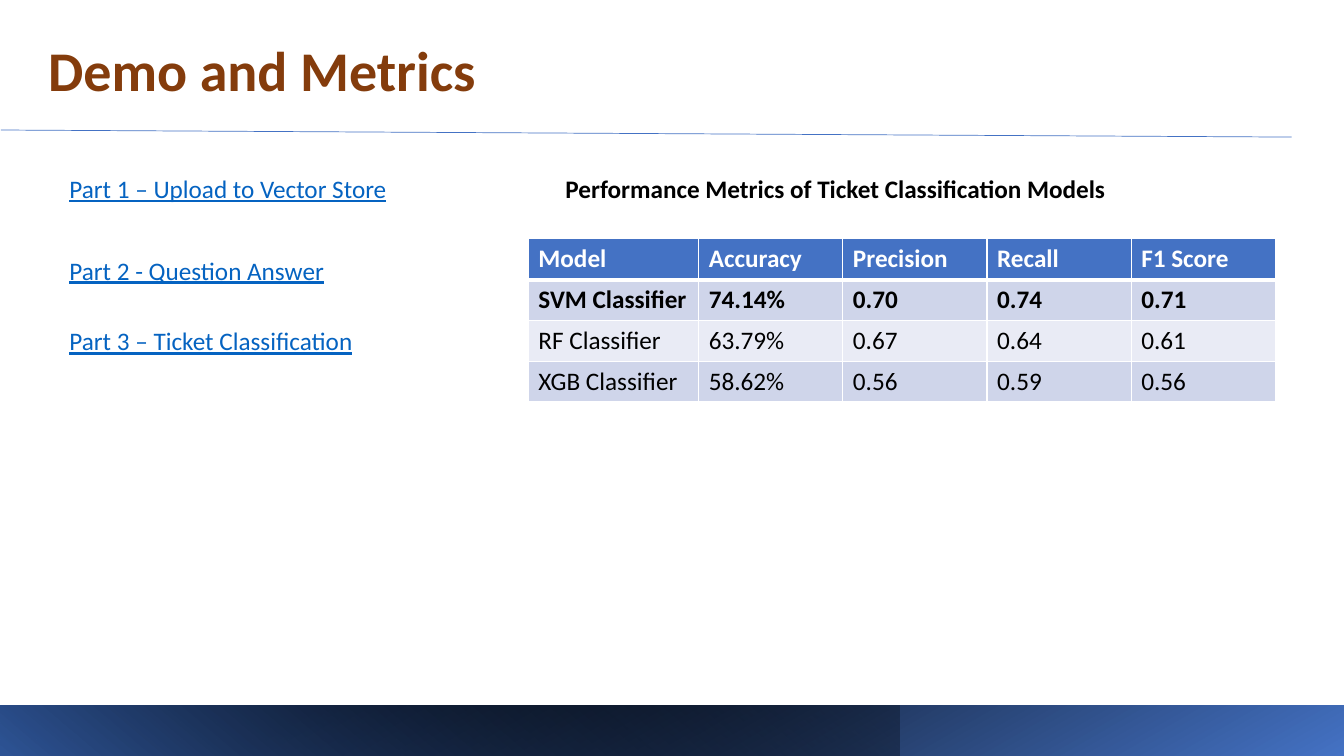
from lxml import etree
from pptx import Presentation
from pptx.dml.color import RGBColor
from pptx.enum.shapes import MSO_CONNECTOR, MSO_SHAPE
from pptx.enum.text import MSO_AUTO_SIZE
from pptx.oxml.ns import qn
from pptx.util import Inches, Pt

RECT = MSO_SHAPE.RECTANGLE
STRAIGHT = MSO_CONNECTOR.STRAIGHT
GROW = MSO_AUTO_SIZE.SHAPE_TO_FIT_TEXT

WIDTH, HEIGHT = 13.33, 7.5
FONT = "Calibri"
COLORS = {
    "title": "843C0C", "link": "0563C1", "accent": "4472C4", "navy": "2F5597",
    "black": "000000", "white": "FFFFFF", "band": "CFD5EA", "light": "E9EBF5",
}
PARTS = [
    (0, "Part 1 – Upload to Vector Store"),
    (0.81, "Part 2 - Question Answer"),
    (1.51, "Part 3 – Ticket Classification"),
]
METRICS = [
    ["Model", "Accuracy", "Precision", "Recall", "F1 Score"],
    ["SVM Classifier", "74.14%", "0.70", "0.74", "0.71"],
    ["RF Classifier", "63.79%", "0.67", "0.64", "0.61"],
    ["XGB Classifier", "58.62%", "0.56", "0.59", "0.56"],
]
ROW_STYLES = [
    ("accent", "white", True), ("band", "black", True),
    ("light", "black", False), ("band", "black", False),
]


def rgb(name):
    """Return the named colour."""
    return RGBColor.from_string(COLORS[name])


def add_run(p, text, size, color, bold=False, underline=False):
    """Add one styled run to a paragraph."""
    r = p.add_run()
    r.text = text
    r.font.name, r.font.size = FONT, Pt(size)
    r.font.bold, r.font.underline = bold, underline
    r.font.color.rgb = rgb(color)


def add_text(s, box, text, size, color, **style):
    """Place a wrapping line of text in a box."""
    tf = s.shapes.add_textbox(*map(Inches, box)).text_frame
    tf.word_wrap = True
    tf.auto_size = GROW
    add_run(tf.paragraphs[0], text, size, color, **style)


def add_gradient_bar(s, box, stops, angle):
    """Add a borderless bar with a two-stop gradient."""
    sp = s.shapes.add_shape(RECT, *map(Inches, box))
    sp.shadow.inherit = False
    sp.line.fill.background()
    sp.fill.gradient()
    sp.fill.gradient_angle = angle
    for stop, (position, color) in zip(sp.fill.gradient_stops, stops):
        stop.position = position
        stop.color.rgb = rgb(color)
    return sp


def add_footer(s, box):
    """Fill the footer box with a bar and a shade over its left two thirds."""
    x, y, w, h = box
    add_gradient_bar(s, box, [(0, "accent"), (0.78, "black")], 120)
    shade = add_gradient_bar(s, (x, y, w * 0.669, h), [(0, "black"), (1, "navy")], 230)
    first = next(shade._element.iter(qn("a:srgbClr")))
    etree.SubElement(first, qn("a:alpha"), val="28000")


def add_header(s, box):
    """Place the title and the rule below it."""
    x, y, w, h = box
    rule = s.shapes.add_connector(
        STRAIGHT, *map(Inches, (x + 0.01, y + h - 0.07, x + w * 0.961, y + h)))
    rule.line.color.rgb = rgb("accent")
    rule.line.width = Pt(0.5)
    etree.SubElement(rule._element.spPr, qn("a:effectLst"))
    add_text(s, (x + 0.38, y + 0.3, w - 0.42, 0.77), "Demo and Metrics", 40, "title", bold=True)


def add_parts(s, box):
    """List the demo parts down the box."""
    x, y, w, h = box
    for offset, text in PARTS:
        add_text(s, (x, y + offset, w, h), text, 18, "link", underline=True)


def add_border(cell, side, width):
    """Draw one white cell border."""
    ln = etree.SubElement(cell._tc.get_or_add_tcPr(), qn(f"a:ln{side}"), w=str(Pt(width)))
    fill = etree.SubElement(ln, qn("a:solidFill"))
    etree.SubElement(fill, qn("a:srgbClr"), val=COLORS["white"])


def add_metrics(s, box):
    """Place the metrics heading and its table in the box."""
    x, y, w, h = box
    rows, cols = len(METRICS), len(METRICS[0])
    top, first, row_h = 0.7, 1.69, (h - 0.7) / rows
    table = s.shapes.add_table(
        rows, cols, *map(Inches, (x, y + top, w, h - top))).table
    for i, column in enumerate(table.columns):
        column.width = Inches((w - first) / (cols - 1) if i else first)
    for i, (values, (fill, color, bold)) in enumerate(zip(METRICS, ROW_STYLES)):
        table.rows[i].height = Inches(row_h)
        for j, value in enumerate(values):
            cell = table.cell(i, j)
            for side in "LRTB":
                heavy = (i, side) in ((0, "B"), (1, "T"))
                add_border(cell, side, 3 if heavy else 1)
            cell.fill.solid()
            cell.fill.fore_color.rgb = rgb(fill)
            add_run(cell.text_frame.paragraphs[0], value, 18, color, bold)
    add_text(s, (x + 0.27, y, 6.75, 0.4),
             "Performance Metrics of Ticket Classification Models", 18, "black", bold=True)


def main():
    """Build and save the slide."""
    prs = Presentation()
    prs.slide_width, prs.slide_height = Inches(WIDTH), Inches(HEIGHT)
    s = prs.slides.add_slide(prs.slide_layouts[6])
    add_footer(s, (0, HEIGHT - 0.5, WIDTH, 0.5))
    add_header(s, (0, 0, WIDTH, 1.36))
    add_parts(s, (0.59, 1.67, 3.55, 0.4))
    add_metrics(s, (5.24, 1.67, 7.41, 2.32))
    prs.save("out.pptx")


if __name__ == "__main__":
    main()
